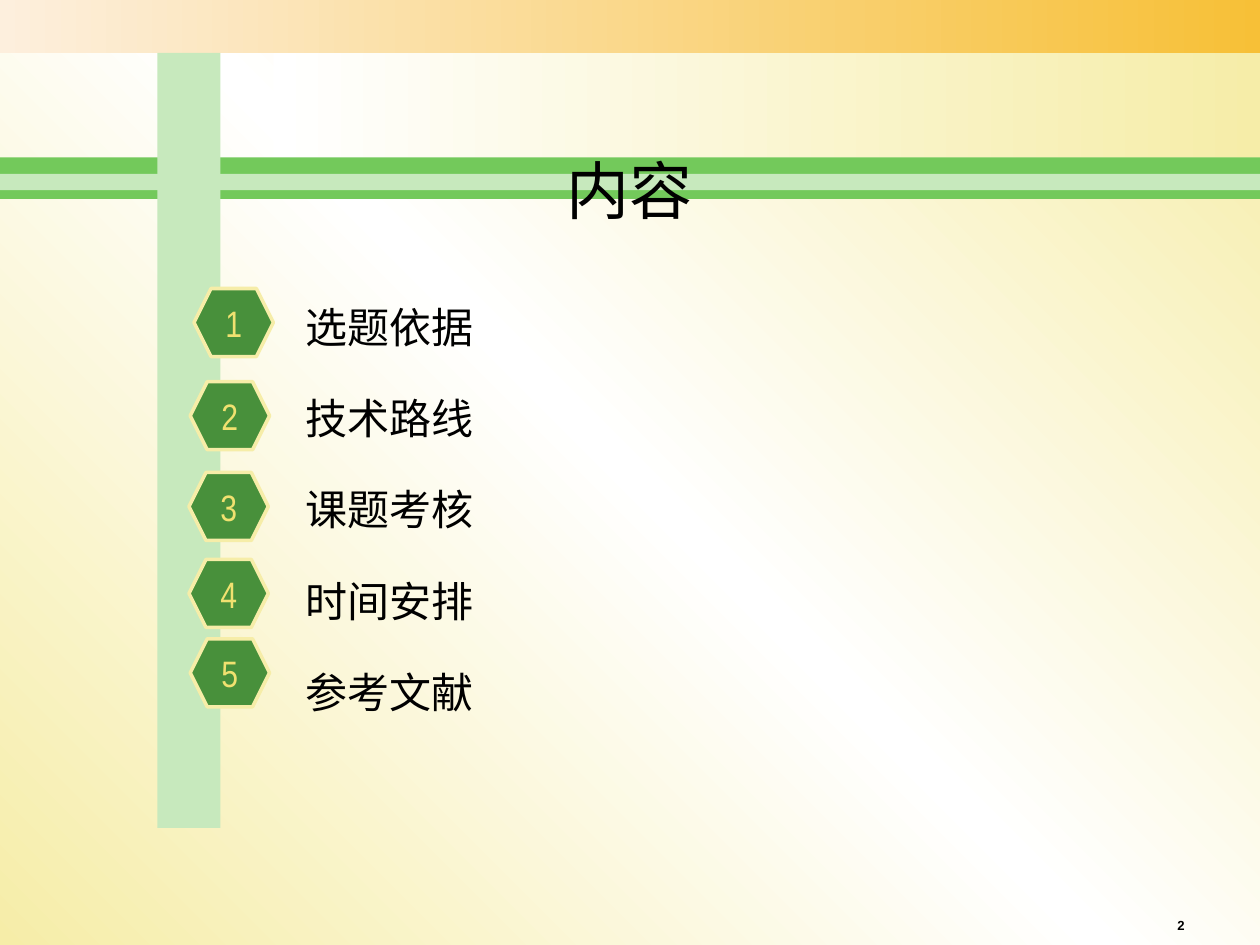
from copy import deepcopy

from pptx import Presentation
from pptx.dml.color import RGBColor
from pptx.enum.shapes import MSO_SHAPE
from pptx.enum.text import MSO_ANCHOR, PP_ALIGN
from pptx.util import Inches, Pt

RECTANGLE, HEXAGON = MSO_SHAPE.RECTANGLE, MSO_SHAPE.HEXAGON
MIDDLE = MSO_ANCHOR.MIDDLE
LEFT, CENTER, RIGHT = PP_ALIGN.LEFT, PP_ALIGN.CENTER, PP_ALIGN.RIGHT

BLACK = RGBColor(0x00, 0x00, 0x00)
WHITE = RGBColor(0xFF, 0xFF, 0xFF)
CREAM = RGBColor(0xF6, 0xED, 0xA8)
PEACH = RGBColor(0xFD, 0xEF, 0xDD)
AMBER = RGBColor(0xF7, 0xC0, 0x37)
GREEN = RGBColor(0x73, 0xC9, 0x5B)
PALE_GREEN = RGBColor(0xC7, 0xE9, 0xBD)
DARK_GREEN = RGBColor(0x48, 0x90, 0x3B)
YELLOW = RGBColor(0xF0, 0xE1, 0x70)

CJK_FONT = "Noto Sans CJK SC"
TITLE_FONT = {"size": Pt(36), "name": CJK_FONT}
TOPIC_FONT = {"size": Pt(24), "name": CJK_FONT}
NUMBER_FONT = {"size": Pt(21), "name": "Arial Narrow"}
PAGE_FONT = {"size": Pt(7.5), "name": "Arial", "bold": True}
TOPIC_SPACING = {"line_spacing": 1.5, "space_before": Pt(9)}

TOPICS = ["选题依据", "技术路线", "课题考核", "时间安排", "参考文献"]
# Left and top of each numbered hexagon
BADGE_SPOTS = [(1.54, 2.29), (1.51, 3.03), (1.5, 3.75), (1.5, 4.44), (1.51, 5.07)]


def set_gradient(fill, colors, angle=0):
    """Spread the colours evenly; the angle runs counter-clockwise."""
    fill.gradient()
    fill.gradient_angle = angle
    stop_list = fill._fill._gradFill.gsLst
    while len(stop_list) < len(colors):
        stop_list.append(deepcopy(stop_list[0]))
    for index, (stop, color) in enumerate(zip(fill.gradient_stops, colors)):
        stop.color.rgb = color
        stop.position = index / (len(colors) - 1)


def apply_format(target, values):
    for key, value in values.items():
        setattr(target, key, value)


def write_lines(frame, lines, font, color, align, spacing=None):
    for index, line in enumerate(lines):
        paragraph = frame.add_paragraph() if index else frame.paragraphs[0]
        apply_format(paragraph, {"alignment": align, **(spacing or {})})
        run = paragraph.add_run()
        run.text = line
        apply_format(run.font, font)
        run.font.color.rgb = color


def add_block(slide, kind, box, colors):
    block = slide.shapes.add_shape(kind, *map(Inches, box))
    block.shadow.inherit = False
    block.line.fill.background()
    if len(colors) > 1:
        set_gradient(block.fill, colors)
    else:
        block.fill.solid()
        block.fill.fore_color.rgb = colors[0]
    return block


def add_text(slide, box, lines, font, align, spacing=None):
    frame = slide.shapes.add_textbox(*map(Inches, box)).text_frame
    frame.word_wrap = True
    write_lines(frame, lines, font, BLACK, align, spacing)


def add_badge(slide, number, left, top):
    badge = add_block(slide, HEXAGON, (left, top, 0.63, 0.54), [DARK_GREEN])
    badge.line.color.rgb = CREAM
    badge.line.width = Pt(2)
    frame = badge.text_frame
    apply_format(frame, {
        "vertical_anchor": MIDDLE, "word_wrap": False,
        "margin_left": 0, "margin_right": 0,
    })
    write_lines(frame, [str(number)], NUMBER_FONT, YELLOW, CENTER)


def main():
    deck = Presentation()
    deck.slide_width, deck.slide_height = Inches(10), Inches(7.5)
    slide = deck.slides.add_slide(deck.slide_layouts[6])
    set_gradient(slide.background.fill, [CREAM, WHITE, CREAM], 45)

    # Header bands and the crossing stripes
    for box, colors in [
        ((0, 0, 10, 0.42), [PEACH, AMBER]),
        ((2.17, 0.42, 7.83, 0.83), [WHITE, CREAM]),
        ((0, 1.25, 10, 0.33), [GREEN]),
        ((1.25, 0.42, 0.5, 6.15), [PALE_GREEN]),
        ((0, 1.38, 10, 0.13), [PALE_GREEN]),
    ]:
        add_block(slide, RECTANGLE, box, colors)

    # Title, topics and page number
    add_text(slide, (3.77, 1.15, 2.46, 0.71), ["内容"], TITLE_FONT, CENTER)
    add_text(slide, (2.33, 2.14, 5.74, 3.87), TOPICS, TOPIC_FONT, LEFT, TOPIC_SPACING)
    add_text(slide, (7.17, 7.23, 2.33, 0.27), ["2"], PAGE_FONT, RIGHT)

    # Numbered hexagons
    for number, (left, top) in enumerate(BADGE_SPOTS, start=1):
        add_badge(slide, number, left, top)

    deck.save("out.pptx")


main()
